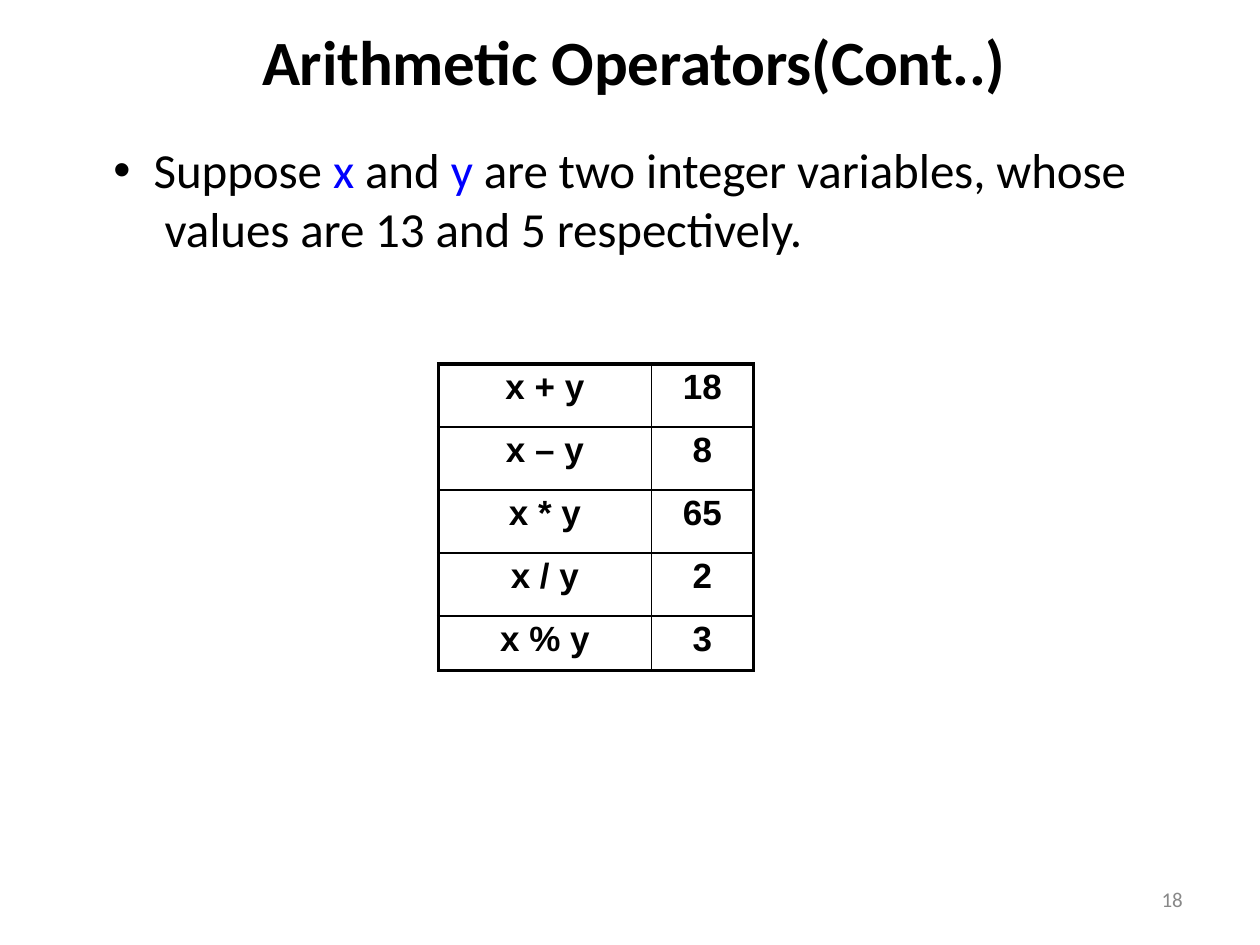
from dataclasses import dataclass

from lxml import etree
from pptx import Presentation
from pptx.dml.color import RGBColor
from pptx.enum.text import MSO_ANCHOR, MSO_AUTO_SIZE, PP_ALIGN
from pptx.oxml.ns import qn
from pptx.util import Emu, Inches, Pt

LEFT, CENTER = PP_ALIGN.LEFT, PP_ALIGN.CENTER
TOP, NO_FIT = MSO_ANCHOR.TOP, MSO_AUTO_SIZE.NONE
TITLE_ONLY = 5
COLORS = {"text": "000000", "variable": "0000FF", "number": "888888"}

# Grid of 100 columns by 75 rows
WIDTH, HEIGHT = Inches(10), Inches(7.5)
COL, ROW = WIDTH / 100, HEIGHT / 75
THICK, THIN = Pt(2.25), Pt(1)


@dataclass
class Box:
    col: float
    row: float
    cols: float
    rows: float

    def emu(self) -> tuple:
        return (Emu(round(self.col * COL)), Emu(round(self.row * ROW)),
                Emu(round(self.cols * COL)), Emu(round(self.rows * ROW)))


@dataclass
class Style:
    size: float
    font: str = "Calibri"
    bold: bool = False
    spacing: int = 0  # hundredths of a point


@dataclass
class Operation:
    expression: str
    result: str


TITLE = Style(36, bold=True, spacing=-10)
BODY = Style(28, spacing=-5)
CELL = Style(20, "Arial", bold=True)
NUMBER = Style(12, spacing=-10)

OPERATIONS = [
    Operation("x + y", "18"),
    Operation("x – y", "8"),
    Operation("x * y", "65"),
    Operation("x / y", "2"),
    Operation("x % y", "3"),
]


def add_run(p, text: str, style: Style, color: str = "text") -> None:
    r = p.add_run()
    r.text = text
    r.font.size, r.font.name, r.font.bold = Pt(style.size), style.font, style.bold
    r.font.color.rgb = RGBColor.from_string(COLORS[color])
    if style.spacing:
        r._r.get_or_add_rPr().set("spc", str(style.spacing))


def set_frame(sp, box: Box):
    """Place a text shape and return its first paragraph."""
    sp.left, sp.top, sp.width, sp.height = box.emu()
    tf = sp.text_frame
    tf.word_wrap, tf.auto_size, tf.vertical_anchor = True, NO_FIT, TOP
    tf.margin_left = tf.margin_right = tf.margin_bottom = 0
    tf.margin_top = Inches(0.01)
    p = tf.paragraphs[0]
    p.alignment, p.space_before = LEFT, Pt(1)
    return p


def set_bullet(p, indent: float, hanging: float) -> None:
    pPr = p._p.get_or_add_pPr()
    pPr.set("marL", str(Inches(indent)))
    pPr.set("indent", str(-Inches(hanging)))
    etree.SubElement(pPr, qn("a:buFont"), typeface="Arial")
    etree.SubElement(pPr, qn("a:buChar"), char="•")


def set_border(cell, side: str, width: int) -> None:
    ln = etree.SubElement(cell._tc.get_or_add_tcPr(), qn(f"a:ln{side}"), w=str(width))
    fill = etree.SubElement(ln, qn("a:solidFill"))
    etree.SubElement(fill, qn("a:srgbClr"), val=COLORS["text"])


def fill_cell(cell, text: str, outer: str) -> None:
    """Write a cell; the sides named in outer lie on the table's edge."""
    cell.margin_left = cell.margin_right = cell.margin_bottom = 0
    cell.margin_top = Inches(0.03)
    cell.vertical_anchor = TOP
    p = cell.text_frame.paragraphs[0]
    p.alignment, p.space_before = CENTER, Pt(2.2)
    add_run(p, text, CELL)
    for side in "LRTB":
        set_border(cell, side, THICK if side in outer else THIN)
    cell.fill.background()


def add_operations(slide, box: Box, widths: list, heights: list) -> None:
    frame = slide.shapes.add_table(len(heights), len(widths), *box.emu())
    table = frame.table
    table.first_row = table.horz_banding = False
    for column, cols in zip(table.columns, widths):
        column.width = Emu(round(cols * COL))
    for row, rows in zip(table.rows, heights):
        row.height = Emu(round(rows * ROW))
    last = len(OPERATIONS) - 1
    for i, op in enumerate(OPERATIONS):
        edge = ("T" if i == 0 else "") + ("B" if i == last else "")
        fill_cell(table.cell(i, 0), op.expression, edge + "L")
        fill_cell(table.cell(i, 1), op.result, edge + "R")


def main() -> None:
    prs = Presentation()
    prs.slide_width, prs.slide_height = WIDTH, HEIGHT
    slide = prs.slides.add_slide(prs.slide_layouts[TITLE_ONLY])

    # Title
    p = set_frame(slide.shapes.title, Box(20.8, 1.7, 59.9, 6.3))
    add_run(p, "Arithmetic Operators(Cont..)", TITLE)

    # Bulleted statement
    box = Box(8.9, 11, 81.2, 9.6)
    p = set_frame(slide.shapes.add_textbox(*box.emu()), box)
    set_bullet(p, 0.33, 0.32)
    for text, color in [
        ("Suppose ", "text"), ("x ", "variable"), ("and ", "text"), ("y ", "variable"),
        ("are two integer variables, whose  values are 13 and 5 respectively.", "text"),
    ]:
        add_run(p, text, BODY, color)

    # Table of results
    add_operations(slide, Box(34.8, 28.9, 25, 24.3), [16.9, 8.1], [5] * 4 + [4.3])

    # Slide number
    box = Box(92.2, 70.3, 2, 2.3)
    p = set_frame(slide.shapes.add_textbox(*box.emu()), box)
    add_run(p, "18", NUMBER, "number")

    prs.save("out.pptx")


if __name__ == "__main__":
    main()
